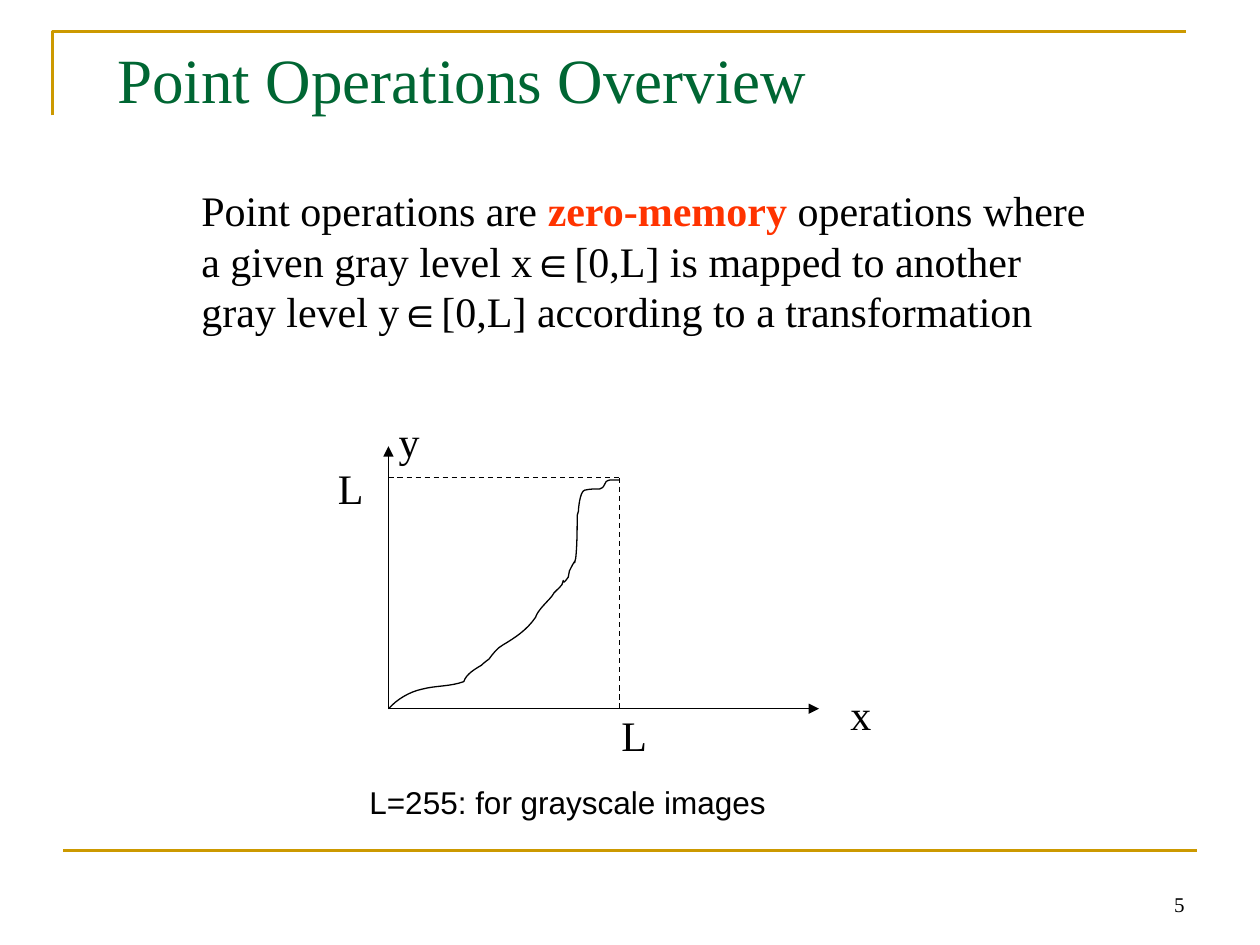
"""Build the slide on point operations with its gray-level transformation curve."""
from dataclasses import dataclass

import pptx
import pptx.dml.color
import pptx.enum.dml
import pptx.enum.shapes
import pptx.enum.text
import pptx.oxml.ns
import pptx.shapes.autoshape
import pptx.slide
import pptx.util
from lxml import etree

Pt = pptx.util.Pt
RGBColor = pptx.dml.color.RGBColor
Align = pptx.enum.text.PP_ALIGN
Anchor = pptx.enum.text.MSO_ANCHOR
AutoSize = pptx.enum.text.MSO_AUTO_SIZE
Shape = pptx.shapes.autoshape.Shape
Slide = pptx.slide.Slide
qn = pptx.oxml.ns.qn
Point = tuple[float, float]

BLACK = RGBColor(0x00, 0x00, 0x00)
GOLD = RGBColor(0xCC, 0x99, 0x00)
GREEN = RGBColor(0x00, 0x66, 0x33)
RED = RGBColor(0xFF, 0x33, 0x00)
SERIF = "Times New Roman"
SANS = "Arial"

ORIGIN_X, ORIGIN_Y = 222, 405
LEVEL_X, LEVEL_Y = 354, 273
AXIS_END_X, AXIS_END_Y = 468, 255


@dataclass(frozen=True)
class Run:
    text: str
    color: RGBColor = BLACK
    bold: bool = False


@dataclass(frozen=True)
class Label:
    left: float
    top: float
    width: float
    height: float
    lines: list[list[Run]]
    size: float = 24
    font: str = SERIF
    align: Align = Align.LEFT
    anchor: Anchor = Anchor.TOP
    fitted: bool = True


@dataclass(frozen=True)
class Line:
    start: Point
    end: Point
    color: RGBColor = BLACK
    weight: float = 0.75
    dashed: bool = False
    arrow: bool = False


LABELS = [
    Label(516, 491.6, 168, 36, [[Run("5")]], 12,
          align=Align.RIGHT, anchor=Anchor.BOTTOM, fitted=False),
    Label(-42, 0, 612, 90, [[Run("Point Operations Overview", GREEN)]], 36,
          align=Align.CENTER, anchor=Anchor.MIDDLE, fitted=False),
    Label(108, 102, 520, 93.6, [
        [Run("Point operations are "), Run("zero-memory", RED, True), Run(" operations where")],
        [Run("a given gray level x∈[0,L] is mapped to another")],
        [Run("gray level y∈[0,L] according to a transformation")],
    ]),
    Label(348, 402, 28.8, 36, [[Run("L")]]),
    Label(186, 261, 28.8, 36, [[Run("L")]]),
    Label(478.8, 390, 26.6, 36, [[Run("x")]]),
    Label(220.8, 234, 26.6, 36, [[Run("y")]]),
    Label(204, 444, 241, 28.8, [[Run("L=255: for grayscale images")]], 18, SANS),
]

LINES = [
    Line((36, 486), (684, 486), GOLD, 1.5),
    Line((ORIGIN_X, ORIGIN_Y), (AXIS_END_X, ORIGIN_Y), arrow=True),
    Line((ORIGIN_X, ORIGIN_Y), (ORIGIN_X, AXIS_END_Y), arrow=True),
    Line((ORIGIN_X, LEVEL_Y), (LEVEL_X, LEVEL_Y), dashed=True),
    Line((LEVEL_X, LEVEL_Y), (LEVEL_X, ORIGIN_Y), dashed=True),
]

TITLE_FRAME = [(30, 66), (30, 18), (678, 18)]

CURVE_SEGMENTS = [
    [(226.8, 399.6), (234, 395.3), (241.2, 393.8)],
    [(249.1, 391.7), (257, 392.4), (265, 389.5)],
    [(266.4, 385.2), (271.4, 382.3), (275, 380.2)],
    [(276.5, 378.7), (279.4, 376.6), (279.4, 376.6)],
    [(281.5, 373.7), (284.4, 370.1), (287.3, 368.6)],
    [(294.5, 364.3), (301, 360), (306, 352.8)],
    [(307.4, 348.5), (312.5, 344.2), (315.4, 340.6)],
    [(316.8, 337.7), (319, 337), (321.1, 334.1)],
    [(323.3, 327.6), (319.7, 337), (324.7, 329.8)],
    [(324.7, 328.3), (324.7, 327.6), (325.4, 326.2)],
    [(331.2, 314.6), (326.9, 326.2), (329, 319)],
    [(329.8, 311), (329.8, 302.4), (329.8, 294.5)],
    [(329.8, 293.8), (330.5, 293), (330.5, 292.3)],
    [(330.5, 291.6), (331.2, 280.8), (334.1, 280.1)],
    [(337, 279.4), (339.8, 279.4), (342.7, 279.4)],
    [(347, 277.9), (344.2, 275), (348.5, 274.3)],
    [(349.9, 274.3), (352.1, 274.3), (LEVEL_X, 274.3)],
]


def draw_outline(slide: Slide, points: list[Point], color: RGBColor, weight: float) -> Shape:
    corners = [(Pt(x), Pt(y)) for x, y in points]
    builder = slide.shapes.build_freeform(*corners[0])
    builder.add_line_segments(corners[1:], close=False)
    outline = builder.convert_to_shape()
    outline.shadow.inherit = False
    outline.fill.background()
    outline.line.color.rgb = color
    outline.line.width = Pt(weight)
    return outline


def draw_curve(slide: Slide, start: Point, segments: list[list[Point]]) -> None:
    ends = [segment[-1] for segment in segments]
    curve = draw_outline(slide, [start, *ends], BLACK, 0.75)
    straights = list(curve._element.iter(qn("a:lnTo")))
    for straight, segment in zip(straights, segments):
        bend = etree.Element(qn("a:cubicBezTo"))
        for x, y in segment:
            etree.SubElement(bend, qn("a:pt"), x=str(Pt(x) - curve.left), y=str(Pt(y) - curve.top))
        straight.getparent().replace(straight, bend)


def draw_line(slide: Slide, line: Line) -> None:
    connector = slide.shapes.add_connector(
        pptx.enum.shapes.MSO_CONNECTOR.STRAIGHT, *map(Pt, line.start + line.end))
    connector.line.color.rgb = line.color
    connector.line.width = Pt(line.weight)
    if line.dashed:
        connector.line.dash_style = pptx.enum.dml.MSO_LINE.DASH
    properties = connector._element.spPr
    if line.arrow:
        etree.SubElement(properties.find(qn("a:ln")), qn("a:tailEnd"), type="triangle")
    etree.SubElement(properties, qn("a:effectLst"))


def draw_label(slide: Slide, label: Label) -> None:
    box = slide.shapes.add_textbox(*map(Pt, (label.left, label.top, label.width, label.height)))
    frame = box.text_frame
    frame.word_wrap = not label.fitted
    frame.auto_size = AutoSize.SHAPE_TO_FIT_TEXT if label.fitted else AutoSize.NONE
    frame.vertical_anchor = label.anchor
    for index, line in enumerate(label.lines):
        paragraph = frame.add_paragraph() if index else frame.paragraphs[0]
        paragraph.alignment = label.align
        for piece in line:
            run = paragraph.add_run()
            run.text = piece.text
            run.font.name = label.font
            run.font.size = Pt(label.size)
            run.font.bold = piece.bold
            run.font.color.rgb = piece.color


def main() -> None:
    presentation = pptx.Presentation()
    presentation.slide_width = Pt(720)
    presentation.slide_height = Pt(540)
    slide = presentation.slides.add_slide(presentation.slide_layouts[6])
    draw_outline(slide, TITLE_FRAME, GOLD, 1.5)
    for line in LINES:
        draw_line(slide, line)
    draw_curve(slide, (ORIGIN_X, ORIGIN_Y), CURVE_SEGMENTS)
    for label in LABELS:
        draw_label(slide, label)
    presentation.save("out.pptx")


if __name__ == "__main__":
    main()
